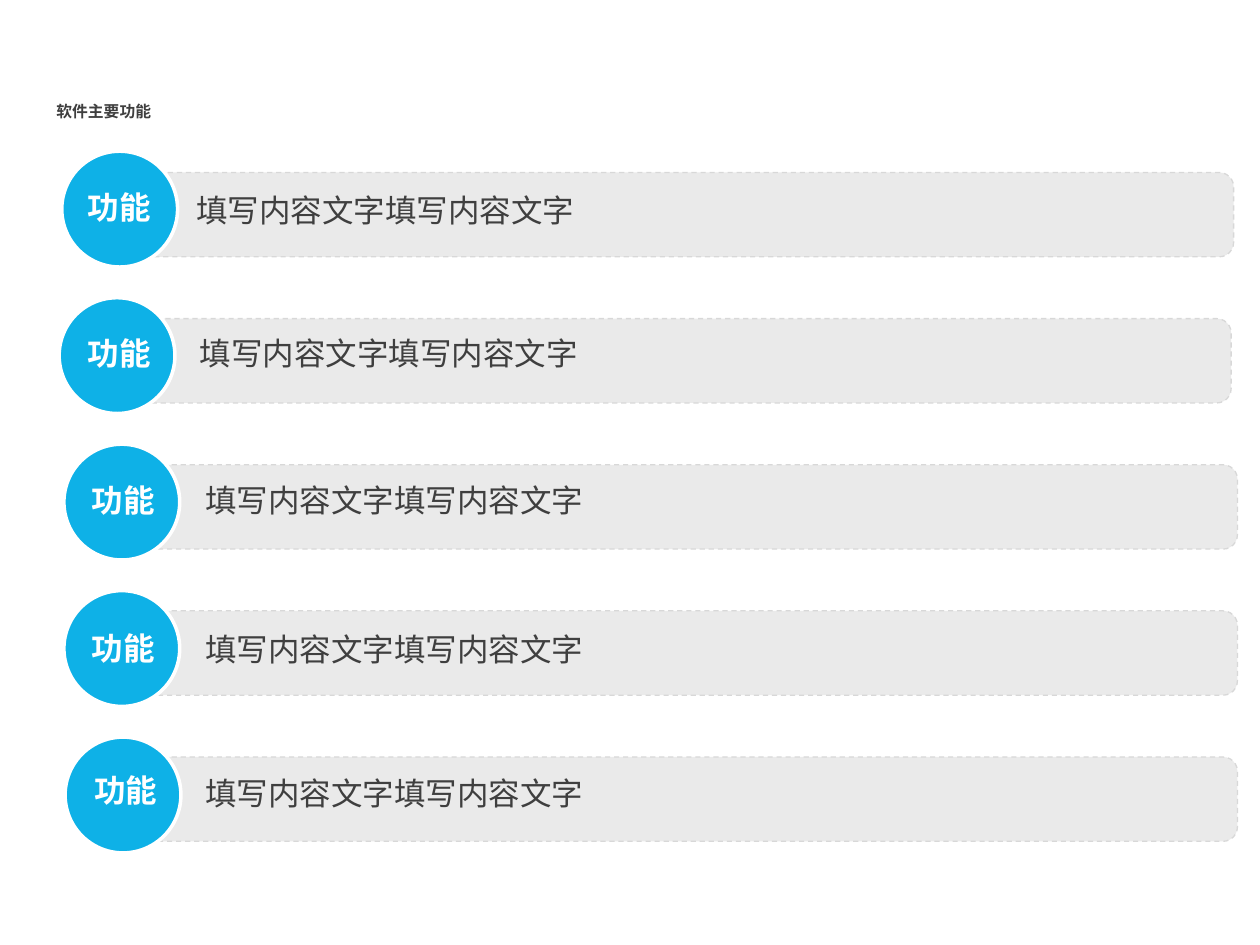
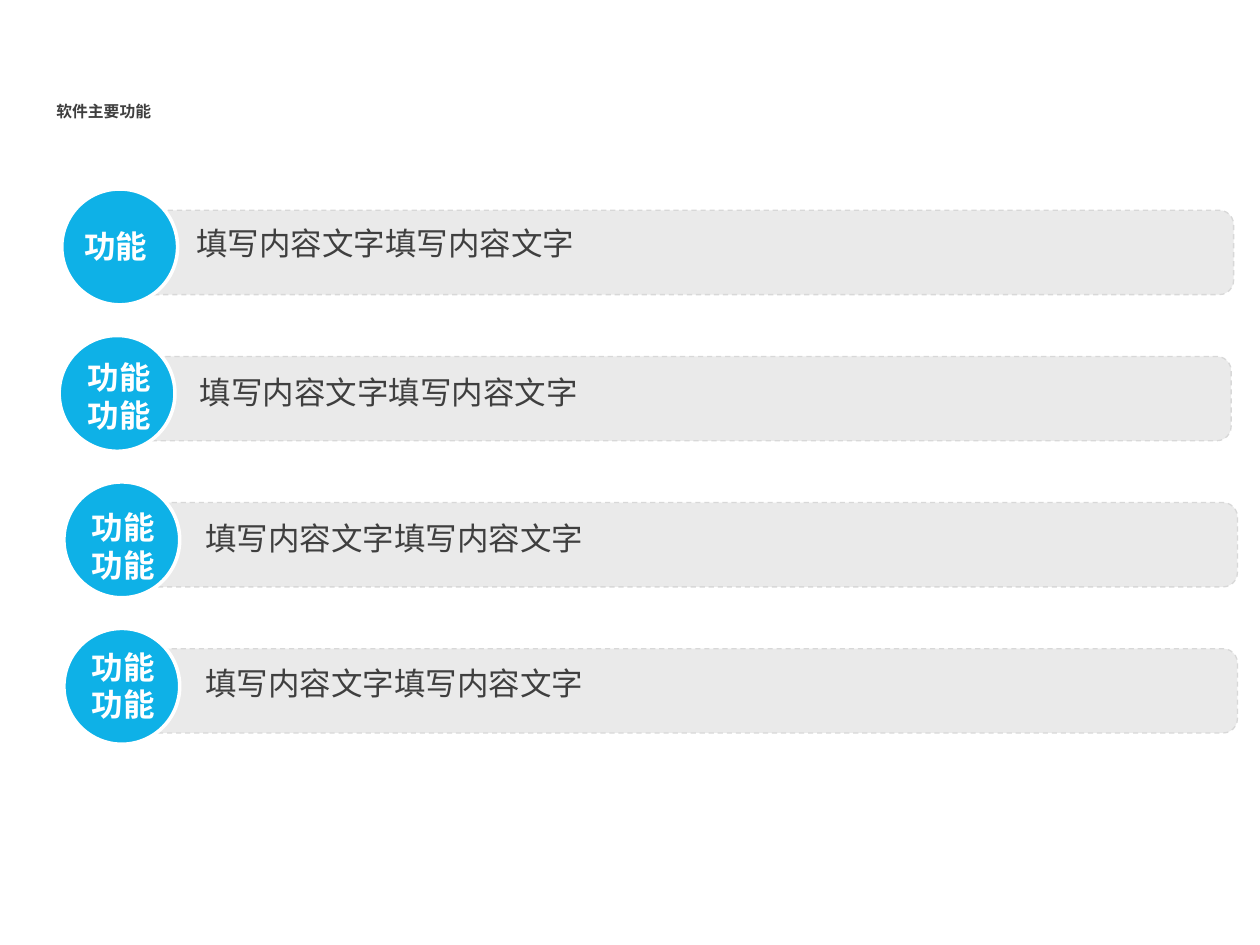
"""Builds two slides listing the main functions of a piece of software."""
from lxml.etree import SubElement
from pptx import Presentation
from pptx.dml.color import RGBColor
from pptx.enum.dml import MSO_LINE
from pptx.enum.shapes import MSO_SHAPE as Shape
from pptx.enum.text import MSO_ANCHOR as Anchor, MSO_AUTO_SIZE as AutoSize
from pptx.oxml.ns import qn
from pptx.util import Pt

HEADING = "软件主要功能"
DETAIL = "填写内容文字填写内容文字"
ONE, TWO = ["功能"], ["功能", "功能"]

# fmt: off
SLIDES = [
    {"first_badge": 86.4, "functions": [
        {"label": ONE, "label_at": (43.2, 103.7), "detail": DETAIL, "detail_top": 105.8, "detail_width": 493},
        {"label": ONE, "label_at": (43.2, 187.2), "detail": DETAIL, "detail_top": 187.2, "detail_width": 582},
        {"label": ONE, "label_at": (45.4, 271.4), "detail": DETAIL, "detail_top": 271.4, "detail_width": 493},
        {"label": ONE, "label_at": (45.4, 355.7), "detail": DETAIL, "detail_top": 356.4, "detail_width": 493},
        {"label": ONE, "label_at": (46.8, 437), "detail": DETAIL, "detail_top": 438.5, "detail_width": 593},
    ]},
    {"first_badge": 108, "functions": [
        {"label": ONE, "label_at": (41, 126), "detail": DETAIL, "detail_top": 124.6, "detail_width": 584},
        {"label": TWO, "label_at": (43.2, 200.9), "detail": DETAIL, "detail_top": 209.5, "detail_width": 597},
        {"label": TWO, "label_at": (45.4, 286.6), "detail": DETAIL, "detail_top": 293, "detail_width": 623},
        {"label": TWO, "label_at": (45.4, 366.5), "detail": DETAIL, "detail_top": 375.8, "detail_width": 593},
    ]},
]
# fmt: on

BADGE_LEFTS = [35.3, 33.8, 36.5, 36.5, 37.2]
BAR_LEFTS = [79.9, 78.5, 82.1, 82.1, 82.1]
DETAIL_LEFTS = [105.1, 107.1, 110.2, 110.2, 110.2]
BADGE_SIZE, BADGE_PITCH = 66.2, 83.7
BAR_WIDTH, BAR_HEIGHT, BAR_PITCH, BAR_DROP = 625, 48.2, 83.5, 12.2
LABEL_WIDTH, LABEL_LINE, LABEL_INSETS = 50.4, 21.6, 7.2
DETAIL_HEIGHT, DETAIL_INDENT = 105.8, 27

FONT = "Noto Sans CJK SC"
INK = RGBColor(0x3F, 0x3F, 0x3F)
WHITE = RGBColor(0xFF, 0xFF, 0xFF)
BLUE = RGBColor(0x0E, 0xB1, 0xE7)
BAR_GREY = RGBColor(0xBC, 0xBC, 0xBC)
EDGE_GREY = RGBColor(0xD8, 0xD8, 0xD8)
BAR_OPACITY = 30


def add_text(shapes, box, lines, size, color, bold=False, wrap=True):
    textbox = shapes.add_textbox(*map(Pt, box))
    frame = textbox.text_frame
    frame.word_wrap = wrap
    for number, line in enumerate(lines):
        paragraph = frame.add_paragraph() if number else frame.paragraphs[0]
        run = paragraph.add_run()
        run.text = line
        font = run.font
        font.name, font.size, font.bold = FONT, Pt(size), bold
        font.color.rgb = color
        SubElement(font._element, qn("a:ea")).set("typeface", FONT)
    return frame


def add_outlined(shapes, preset, box, fill, edge, weight):
    shape = shapes.add_shape(preset, *map(Pt, box))
    shape.shadow.inherit = False
    shape.fill.solid()
    shape.fill.fore_color.rgb = fill
    shape.line.color.rgb = edge
    shape.line.width = Pt(weight)
    return shape


def add_heading(slide):
    frame = add_text(slide.shapes, (25.2, 25.9, 249.1, 28.1), [HEADING], 9, INK, bold=True)
    frame.vertical_anchor = Anchor.MIDDLE
    frame.paragraphs[0].line_spacing = Pt(57.6)


def add_bar(shapes, left, top):
    bar = add_outlined(shapes, Shape.ROUNDED_RECTANGLE, (left, top, BAR_WIDTH, BAR_HEIGHT),
                       BAR_GREY, EDGE_GREY, 0.75)
    bar.adjustments[0] = 0.17
    bar.line.dash_style = MSO_LINE.DASH
    tint = bar.fill._xPr.find(qn("a:solidFill"))[0]
    SubElement(tint, qn("a:alpha")).set("val", str(BAR_OPACITY * 1000))


def add_detail(shapes, left, function):
    box = (left, function["detail_top"], function["detail_width"], DETAIL_HEIGHT)
    paragraph = add_text(shapes, box, [function["detail"]], 18, INK).paragraphs[0]
    paragraph.space_before = Pt(4.5)
    properties = paragraph._p.get_or_add_pPr()
    properties.set("marL", str(Pt(DETAIL_INDENT)))
    properties.set("indent", str(-Pt(DETAIL_INDENT)))


def add_badge(shapes, left, top, function):
    add_outlined(shapes, Shape.OVAL, (left, top, BADGE_SIZE, BADGE_SIZE), BLUE, WHITE, 2)
    label = function["label"]
    box = (*function["label_at"], LABEL_WIDTH, LABEL_INSETS + LABEL_LINE * len(label))
    frame = add_text(shapes, box, label, 18, WHITE, bold=True, wrap=False)
    frame.auto_size = AutoSize.SHAPE_TO_FIT_TEXT


def add_function_slide(deck, first_badge, functions):
    slide = deck.slides.add_slide(deck.slide_layouts[6])
    add_heading(slide)
    panel = slide.shapes.add_group_shape().shapes
    for row, left in enumerate(BAR_LEFTS[:len(functions)]):
        add_bar(panel, left, first_badge + BAR_DROP + row * BAR_PITCH)
    for left, function in zip(DETAIL_LEFTS, functions):
        add_detail(panel, left, function)
    for row, (left, function) in enumerate(zip(BADGE_LEFTS, functions)):
        badge = slide.shapes.add_group_shape().shapes
        add_badge(badge, left, first_badge + row * BADGE_PITCH, function)


def main():
    deck = Presentation()
    deck.slide_width, deck.slide_height = Pt(720), Pt(540)
    for content in SLIDES:
        add_function_slide(deck, **content)
    deck.save("out.pptx")


if __name__ == "__main__":
    main()
